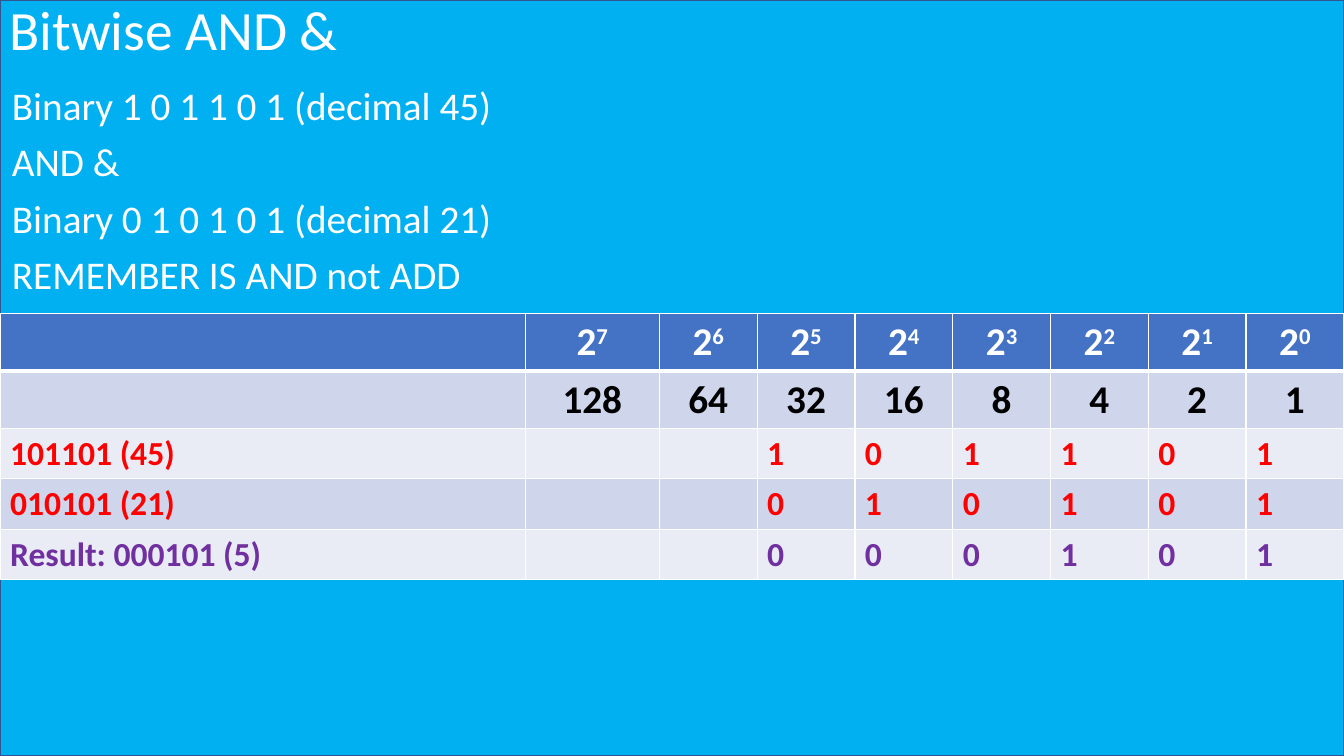
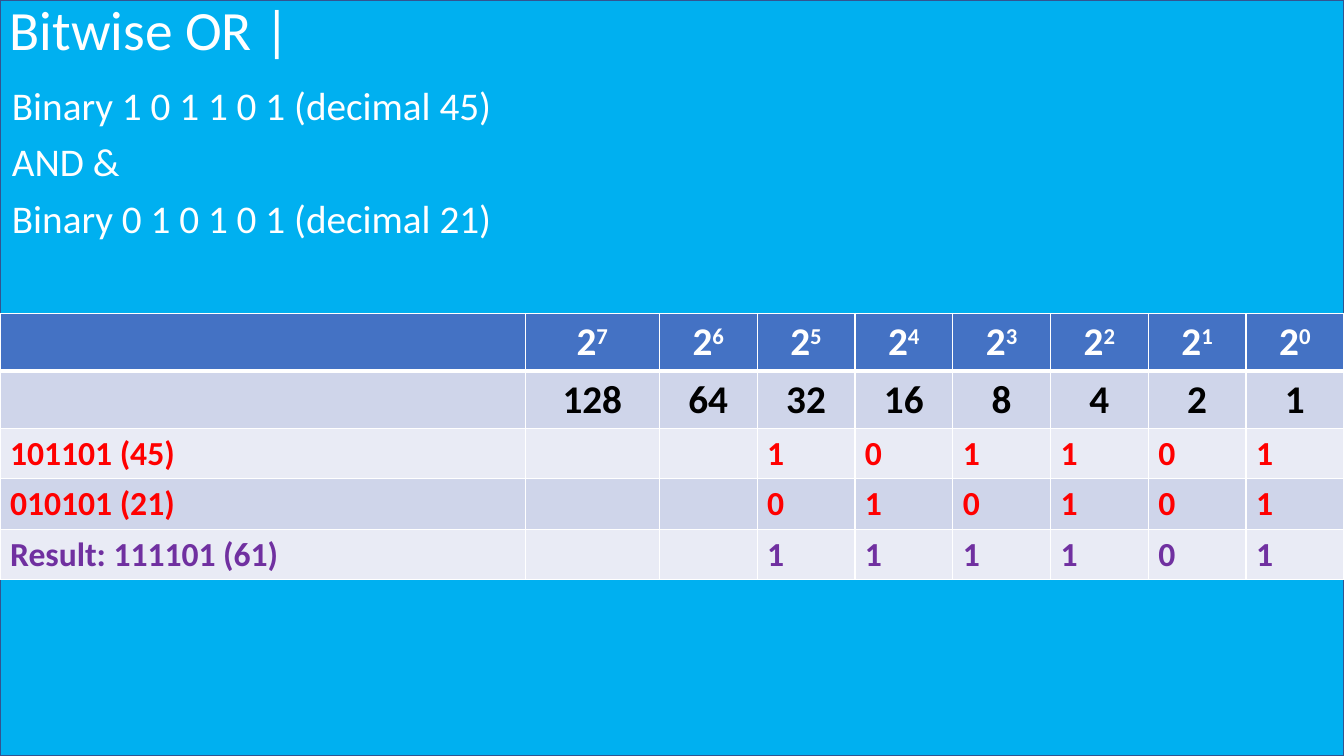
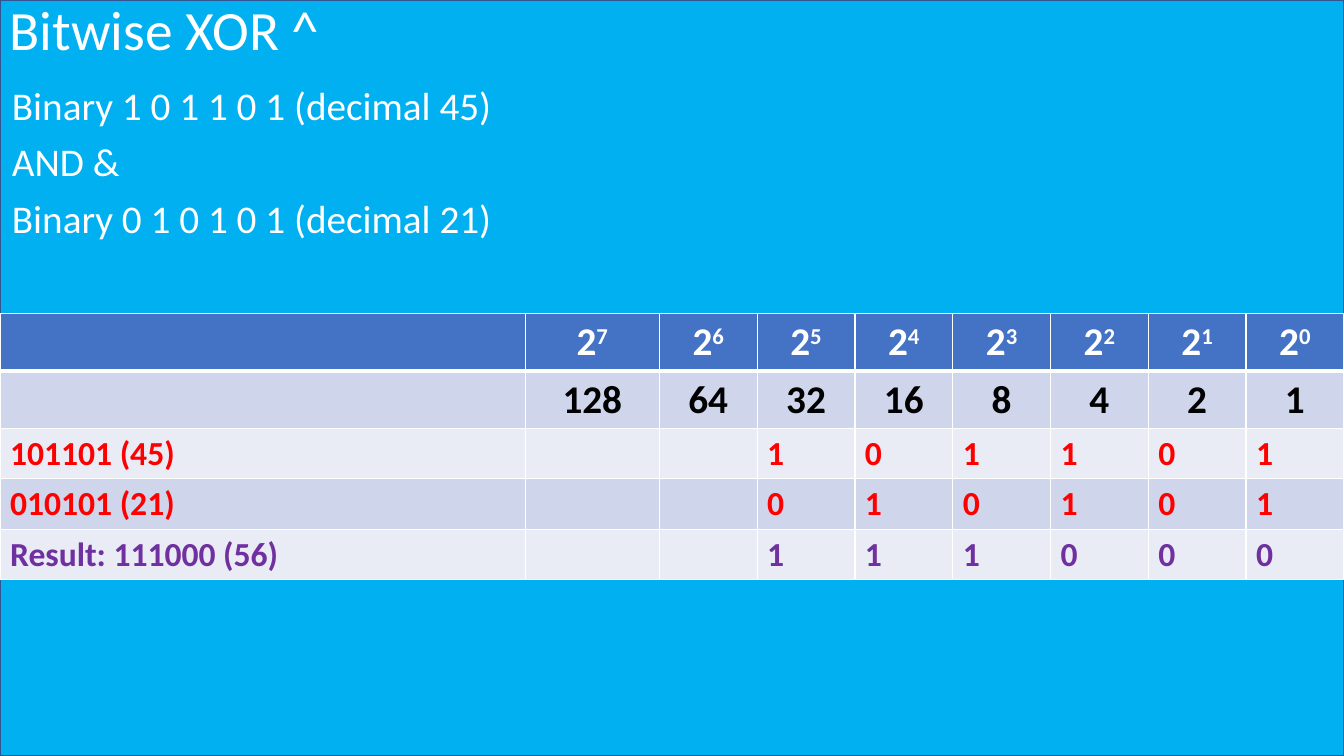
"""Build three slides showing bitwise AND, OR and XOR worked out in tables."""
from lxml import etree
from pptx import Presentation
from pptx.dml.color import RGBColor
from pptx.enum import shapes, text
from pptx.oxml import ns
from pptx.util import Inches, Pt

FONT = "Calibri"
WHITE = RGBColor(0xFF, 0xFF, 0xFF)
BLACK = RGBColor(0x00, 0x00, 0x00)
SKY = RGBColor(0x00, 0xB0, 0xF0)
EDGE = RGBColor(0x32, 0x54, 0x91)
HEADER = RGBColor(0x44, 0x72, 0xC4)
BAND_DARK = RGBColor(0xCF, 0xD5, 0xEA)
BAND_LIGHT = RGBColor(0xE9, 0xEB, 0xF5)
RED = RGBColor(0xFF, 0x00, 0x00)
PURPLE = RGBColor(0x70, 0x30, 0xA0)

WIDTH, HEIGHT = 13.33, 7.5
COLUMNS = [5.21, 1.33] + [0.97] * 7
ROWS = [0.57] * 2 + [0.5] * 3
POWERS = range(7, -1, -1)
BITS = 6
LEFT, RIGHT = 45, 21


def binary(number):
    return f"{number:0{BITS}b}"


def set_font(p, size, color, bold=False):
    p.font.name = FONT
    p.font.size = Pt(size)
    p.font.color.rgb = color
    p.font.bold = bold


def add_background(s):
    sp = s.shapes.add_shape(shapes.MSO_SHAPE.RECTANGLE, 0, 0, Inches(WIDTH), Inches(HEIGHT))
    sp.shadow.inherit = False
    sp.fill.solid()
    sp.fill.fore_color.rgb = SKY
    sp.line.color.rgb = EDGE
    sp.line.width = Pt(1)


def add_text(s, left, top, height, lines, size, anchor):
    sp = s.shapes.add_textbox(Inches(left), Inches(top), Inches(WIDTH), Inches(height))
    tf = sp.text_frame
    tf.word_wrap = True
    tf.vertical_anchor = anchor
    for i, line in enumerate(lines):
        p = tf.add_paragraph() if i else tf.paragraphs[0]
        p.add_run().text = line
        p.line_spacing = 0.9
        if i:
            p.space_before = Pt(10)
        set_font(p, size, WHITE)


def add_border(cell, side, width):
    tcPr = cell._tc.get_or_add_tcPr()
    ln = etree.SubElement(tcPr, ns.qn(f"a:ln{side}"), w=str(Pt(width)))
    fill = etree.SubElement(ln, ns.qn("a:solidFill"))
    etree.SubElement(fill, ns.qn("a:srgbClr"), val=str(WHITE))


def style_cell(cell, row, fill):
    for side in "LRTB":
        under_header = (row, side) in ((0, "B"), (1, "T"))
        add_border(cell, side, 3 if under_header else 1)
    cell.fill.solid()
    cell.fill.fore_color.rgb = fill


def fill_cell(cell, value, size, color, centred, exponent=""):
    p = cell.text_frame.paragraphs[0]
    p.add_run().text = value
    if exponent:
        r = p.add_run()
        r.text = exponent
        r._r.get_or_add_rPr().set("baseline", "30000")
    if centred:
        p.alignment = text.PP_ALIGN.CENTER
    else:
        cell.vertical_anchor = text.MSO_ANCHOR.MIDDLE
    set_font(p, size, color, bold=True)


def add_bit_table(s, result):
    frame = s.shapes.add_table(len(ROWS), len(COLUMNS), 0, Inches(3.11),
                               Inches(sum(COLUMNS)), Inches(sum(ROWS)))
    table = frame.table
    for column, width in zip(table.columns, COLUMNS):
        column.width = Inches(width)
    for row, height in zip(table.rows, ROWS):
        row.height = Inches(height)
    fills = [HEADER, BAND_DARK, BAND_LIGHT, BAND_DARK, BAND_LIGHT]
    for i, fill in enumerate(fills):
        for cell in table.rows[i].cells:
            style_cell(cell, i, fill)
    for col, power in enumerate(POWERS, 1):
        fill_cell(table.cell(0, col), "2", 28, WHITE, True, str(power))
        fill_cell(table.cell(1, col), str(2 ** power), 28, BLACK, True)
    numbers = [(LEFT, "", RED), (RIGHT, "", RED), (result, "Result: ", PURPLE)]
    for i, (number, prefix, color) in enumerate(numbers, 2):
        bits = binary(number)
        fill_cell(table.cell(i, 0), f"{prefix}{bits} ({number})", 24, color, False)
        for col, bit in enumerate(bits, len(COLUMNS) - BITS):
            fill_cell(table.cell(i, col), bit, 24, color, False)


def add_operator_slide(prs, operator, result, notice=()):
    s = prs.slides.add_slide(prs.slide_layouts[6])
    add_background(s)
    add_text(s, 0, 0, 0.64, [f"Bitwise {operator}"], 39.6, text.MSO_ANCHOR.MIDDLE)
    first, second = (f"Binary {' '.join(binary(n))} (decimal {n})" for n in (LEFT, RIGHT))
    add_text(s, 0.02, 0.81, 6.69, [first, "AND &", second, *notice], 28, text.MSO_ANCHOR.TOP)
    add_bit_table(s, result)


def main():
    prs = Presentation()
    prs.slide_width, prs.slide_height = Inches(WIDTH), Inches(HEIGHT)
    add_operator_slide(prs, "AND &", LEFT & RIGHT, ["REMEMBER IS AND not ADD"])
    add_operator_slide(prs, "OR |", LEFT | RIGHT)
    add_operator_slide(prs, "XOR ^", LEFT ^ RIGHT)
    prs.save("out.pptx")


if __name__ == "__main__":
    main()
